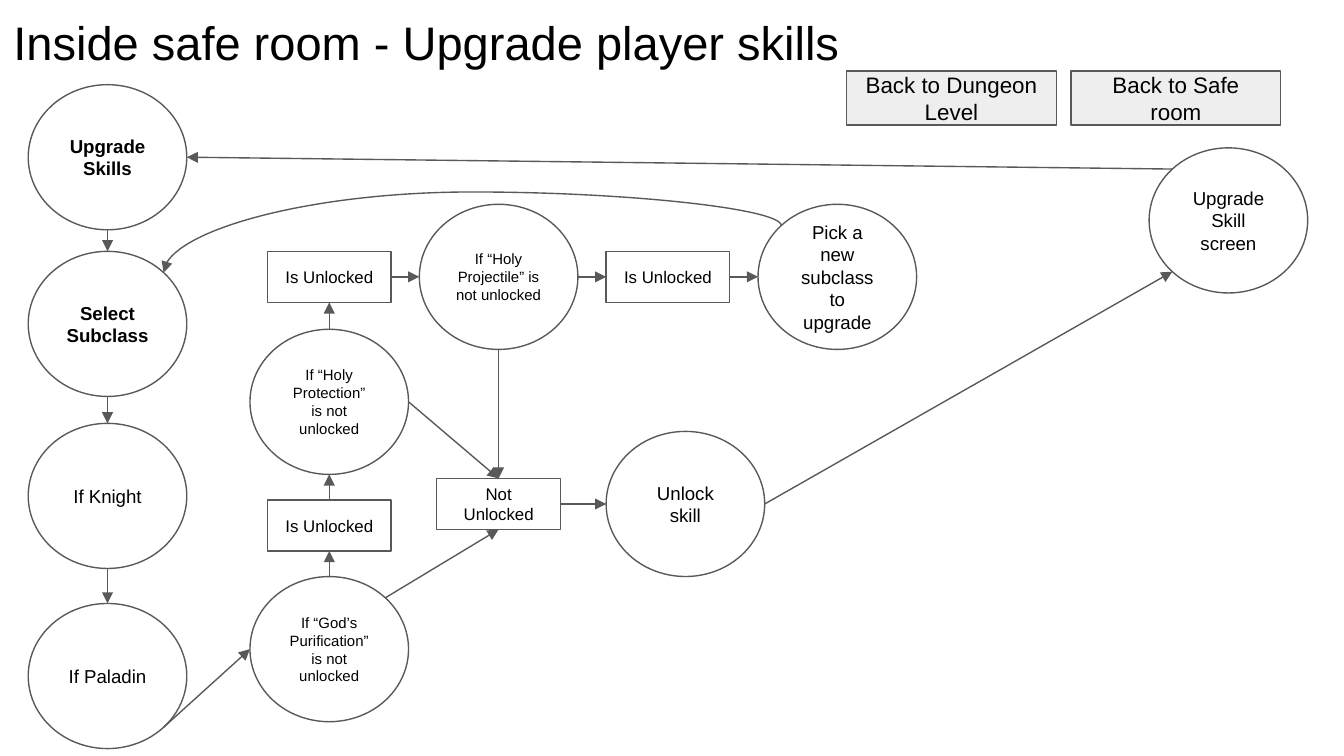
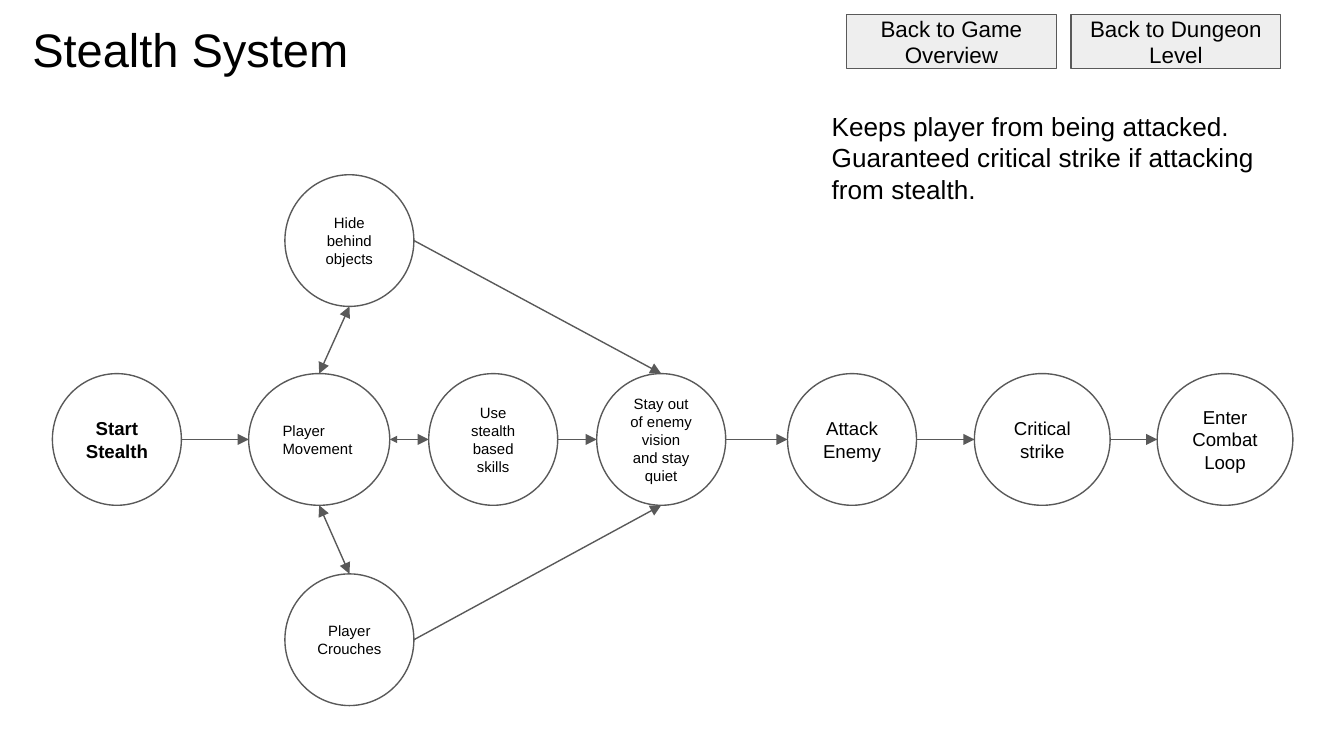
from lxml.etree import SubElement
from pptx import Presentation
from pptx.dml.color import RGBColor
from pptx.enum.shapes import MSO_CONNECTOR, MSO_SHAPE
from pptx.enum.text import MSO_ANCHOR, MSO_AUTO_SIZE, PP_ALIGN
from pptx.oxml.ns import qn
from pptx.util import Emu, Pt

PX = 9144  # 100 px to the inch
WIDTH = 1000
HEIGHT = WIDTH * 9 / 16
FONT, INK, EDGE, GREY = "Arial", "000000", "595959", "EEEEEE"
BIG, BOX, DISC, WIDE, MOVER, TAB = (
    (118, 108), (92, 38), (96, 98), (101, 98), (105, 98), (156, 40))
TABS_X = (630, 797)
ROW = 278  # top of the main row on the stealth slide

# Connection sites in the order the preset shapes number them
OVAL_SITES = ("top", "top-left", "left", "bottom-left",
              "bottom", "bottom-right", "right", "top-right")
BOX_SITES = ("top", "left", "bottom", "right")

# nodes: key: (text, left, top, size, points)
# links: (from, site, to, site, size of the arrowhead at the start or None)
SKILLS = {
    "title": ("Inside safe room - Upgrade player skills", 0, 0),
    "tabs": (53, ("Back to Dungeon Level", "Back to Safe room")),
    "bold": ("start", "class"),
    "nodes": {
        "start": ("Upgrade Skills", 21, 63, BIG, 10),
        "class": ("Select Subclass", 21, 187, BIG, 10),
        "knight": ("If Knight", 21, 315, BIG, 10),
        "paladin": ("If Paladin", 21, 449, BIG, 10),
        "purify": ("If “God’s Purification” is not unlocked", 186, 429, BIG, 8),
        "open 1": ("Is Unlocked", 199, 372, BOX, 9),
        "protect": ("If “Holy Protection” is not unlocked", 186, 245, BIG, 8),
        "open 2": ("Is Unlocked", 199, 187, BOX, 9),
        "project": ("If “Holy Projectile” is not unlocked", 312, 152, BIG, 8),
        "open 3": ("Is Unlocked", 451, 187, BOX, 9),
        "pick": ("Pick a new subclass to upgrade", 564, 152, BIG, 10),
        "closed": ("Not Unlocked", 325, 356, BOX, 9),
        "unlock": ("Unlock skill", 451, 321, BIG, 10),
        "screen": ("Upgrade Skill screen", 855, 110, BIG, 10),
    },
    "links": [
        ("start", "bottom", "class", "top", None),
        ("class", "bottom", "knight", "top", None),
        ("knight", "bottom", "paladin", "top", None),
        ("paladin", "bottom-right", "purify", "left", None),
        ("purify", "top", "open 1", "bottom", None),
        ("open 1", "top", "protect", "bottom", None),
        ("protect", "top", "open 2", "bottom", None),
        ("open 2", "right", "project", "left", None),
        ("project", "right", "open 3", "left", None),
        ("open 3", "right", "pick", "left", None),
        ("purify", "top-right", "closed", "bottom", None),
        ("protect", "right", "closed", "top", None),
        ("project", "bottom", "closed", "top", None),
        ("closed", "right", "unlock", "left", None),
        ("unlock", "right", "screen", "bottom-left", None),
        ("screen", "top-left", "start", "right", None),
    ],
}
STEALTH = {
    "title": ("Stealth System", 14, 5),
    "tabs": (11, ("Back to Game Overview", "Back to Dungeon Level")),
    "bold": ("start",),
    "nodes": {
        "start": ("Start Stealth", 39, ROW, DISC, 10),
        "move": ("Player Movement", 185, ROW, MOVER, 8),
        "skills": ("Use stealth based skills", 319, ROW, DISC, 8),
        "stay": ("Stay out of enemy vision and stay quiet", 444, ROW, DISC, 8),
        "attack": ("Attack Enemy", 586, ROW, DISC, 10),
        "strike": ("Critical strike", 725, ROW, WIDE, 10),
        "combat": ("Enter Combat Loop", 861, ROW, WIDE, 10),
        "hide": ("Hide behind objects", 212, 130, DISC, 8),
        "crouch": ("Player Crouches", 212, 427, DISC, 8),
    },
    "links": [
        ("start", "right", "move", "left", None),
        ("move", "right", "skills", "left", "sm"),
        ("skills", "right", "stay", "left", None),
        ("stay", "right", "attack", "left", None),
        ("attack", "right", "strike", "left", None),
        ("strike", "right", "combat", "left", None),
        ("hide", "bottom", "move", "top", "med"),
        ("move", "bottom", "crouch", "top", "med"),
        ("hide", "right", "stay", "top", None),
        ("crouch", "right", "stay", "bottom", None),
    ],
}
NOTE = ("Keeps player from being attacked. "
        "Guaranteed critical strike if attacking from stealth.")


def px(*vals):
    return [Emu(round(v * PX)) for v in vals]


def color(code):
    return RGBColor.from_string(code)


def write(shape, text, size, bold=False, align=PP_ALIGN.CENTER,
          anchor=MSO_ANCHOR.MIDDLE):
    frame = shape.text_frame
    frame.text = text
    frame.word_wrap = True
    frame.auto_size = MSO_AUTO_SIZE.NONE
    frame.vertical_anchor = anchor
    frame.margin_left = frame.margin_right = Emu(10 * PX)
    frame.margin_top = frame.margin_bottom = Emu(10 * PX)
    par = frame.paragraphs[0]
    par.alignment = align
    par.font.name, par.font.size, par.font.bold = FONT, Pt(size), bold
    par.font.color.rgb = color(INK)


def add_node(slide, kind, left, top, size, fill=None):
    node = slide.shapes.add_shape(kind, *px(left, top, *size))
    node.shadow.inherit = False
    if fill:
        node.fill.solid()
        node.fill.fore_color.rgb = color(fill)
    else:
        node.fill.background()
    node.line.color.rgb = color(EDGE)
    node.line.width = Pt(0.75)
    return node


def spot(node, site):
    """Point on the node's outline at a named site."""
    reach = 0.5 ** 0.5 if "-" in site else 1
    dx = ("right" in site) - ("left" in site)
    dy = ("bottom" in site) - ("top" in site)
    return (Emu(round(node.left + node.width * (1 + dx * reach) / 2)),
            Emu(round(node.top + node.height * (1 + dy * reach) / 2)))


def join(line, end, node, site):
    if node.auto_shape_type == MSO_SHAPE.RECTANGLE:
        hook = line.begin_connect if end == "st" else line.end_connect
        hook(node, BOX_SITES.index(site))
    else:  # ovals have eight sites, begin_connect knows four
        props = line._element.find(".//" + qn("p:cNvCxnSpPr"))
        SubElement(props, qn(f"a:{end}Cxn"), id=str(node.shape_id),
                   idx=str(OVAL_SITES.index(site)))


def style(line, head=None):
    line.line.color.rgb = color(EDGE)
    line.line.width = Pt(0.75)
    props = line._element.spPr
    stroke = props.find(qn("a:ln"))
    if head:
        SubElement(stroke, qn("a:headEnd"), type="triangle", w=head, len=head)
    SubElement(stroke, qn("a:tailEnd"), type="triangle")
    SubElement(props, qn("a:effectLst"))


def add_link(slide, one, site1, two, site2, head):
    line = slide.shapes.add_connector(
        MSO_CONNECTOR.STRAIGHT, *spot(one, site1), *spot(two, site2))
    style(line, head)
    join(line, "st", one, site1)
    join(line, "end", two, site2)


def add_curve(slide, one, site1, two, site2, bend):
    """Curve that leaves and arrives upright: a box turned by 90 degrees."""
    (x1, y1), (x2, y2) = spot(one, site1), spot(two, site2)
    wide, high = y2 - y1, x1 - x2
    left, top = (x1 + x2 - wide) // 2, (y1 + y2 - high) // 2
    line = slide.shapes.add_connector(
        MSO_CONNECTOR.CURVE, left, top, left + wide, top + high)
    style(line)
    props = line._element.spPr
    props.find(qn("a:xfrm")).set("rot", "5400000")
    guides = props.find(qn("a:prstGeom")).get_or_add_avLst()
    SubElement(guides, qn("a:gd"), name="adj1", fmla=f"val {bend}")
    join(line, "st", one, site1)
    join(line, "end", two, site2)


def build(deck, data):
    slide = deck.slides.add_slide(deck.slide_layouts[5])
    text, left, top = data["title"]
    title = slide.shapes.title
    title.left, title.top, title.width, title.height = px(left, top, 932, 63)
    write(title, text, 25.2, align=PP_ALIGN.LEFT, anchor=MSO_ANCHOR.TOP)

    top, names = data["tabs"]
    for left, name in zip(TABS_X, names):
        tab = add_node(slide, MSO_SHAPE.RECTANGLE, left, top, TAB, GREY)
        write(tab, name, 12)

    nodes = {}
    for key, (text, left, top, size, points) in data["nodes"].items():
        kind = MSO_SHAPE.RECTANGLE if size == BOX else MSO_SHAPE.OVAL
        nodes[key] = add_node(slide, kind, left, top, size)
        align = PP_ALIGN.LEFT if size == MOVER else PP_ALIGN.CENTER
        write(nodes[key], text, points, key in data["bold"], align)
    for one, site1, two, site2, head in data["links"]:
        add_link(slide, nodes[one], site1, nodes[two], site2, head)
    return slide, nodes


def main():
    deck = Presentation()
    deck.slide_width, deck.slide_height = px(WIDTH, HEIGHT)

    slide, nodes = build(deck, SKILLS)
    add_curve(slide, nodes["pick"], "top-left",
              nodes["class"], "top-right", -71500)

    slide, _ = build(deck, STEALTH)
    note = slide.shapes.add_textbox(*px(609, 72, 356, 91))
    write(note, NOTE, 14, align=PP_ALIGN.LEFT, anchor=MSO_ANCHOR.TOP)
    note.text_frame.auto_size = MSO_AUTO_SIZE.SHAPE_TO_FIT_TEXT

    deck.save("out.pptx")


if __name__ == "__main__":
    main()
